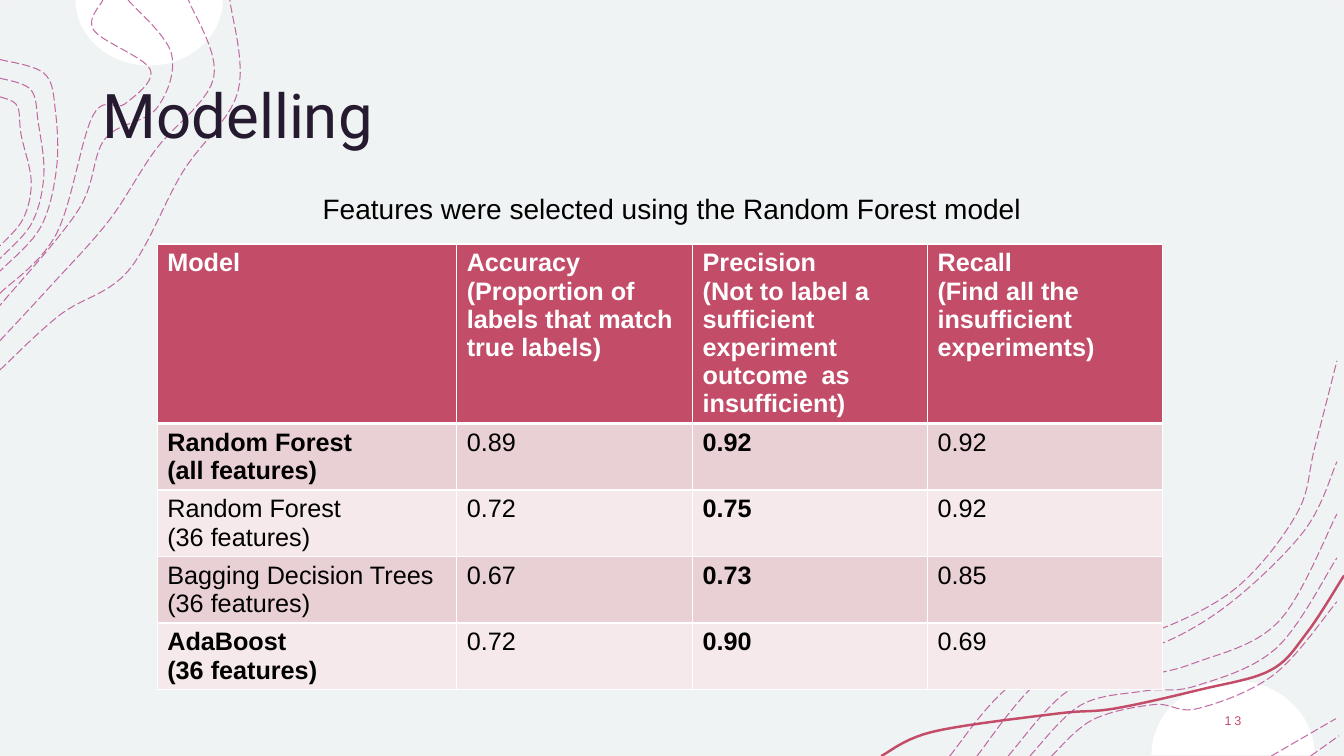
from math import cos, pi, sin

from pptx import Presentation
from pptx.dml.color import RGBColor
from pptx.enum.dml import MSO_LINE as Dash
from pptx.enum.shapes import MSO_SHAPE as Shape
from pptx.enum.text import MSO_ANCHOR as Anchor, MSO_AUTO_SIZE as Fit, PP_ALIGN as Align
from pptx.oxml.ns import qn
from pptx.util import Inches, Pt
from lxml.etree import SubElement

WAVES = [
    [(0, 3.67), (0.6, 3.12), (1.27, 2.69), (1.81, 1.71), (2.36, 0.91), (2.28, 0)],
    [(0, 3.38), (0.5, 2.84), (1.08, 2.19), (1.54, 1.49), (2.12, 0.77), (1.87, 0)],
    [(1.27, 0), (1.7, 0.53), (1.55, 1.08), (1.04, 1.38), (0.78, 2.08), (0, 3.03)],
    [(0, 2.91), (0.56, 2.32), (0.92, 1.15), (1.24, 1.03), (1.49, 0.69), (0.93, 0.3), (1.02, 0)],
    [(9.42, 7.5), (10.02, 6.8), (10.98, 6.25), (11.37, 6.29), (12.24, 5.85), (12.86, 5.1),
     (13.04, 4.44), (13.26, 3.58)],
    [(9.69, 7.5), (10.29, 6.77), (11.03, 6.38), (11.45, 6.41), (12.18, 6), (12.94, 5.26), (13.26, 4.58)],
    [(13, 7.5), (13.28, 7.3)],
    [(12.61, 7.5), (13.25, 7.13)],
]
NESTS = [
    ([(0, 0.59), (0.44, 0.73), (0.55, 1.1), (0.56, 1.68), (0.4, 2.26), (0, 2.69)],
     [(0, 0.96), (0.17, 1.05), (0.21, 1.34), (0.31, 1.8), (0.23, 2.17), (0, 2.44)]),
    ([(10.43, 7.5), (10.84, 7.14), (11.45, 6.99), (11.88, 7.03), (12.64, 6.69), (13.26, 5.97)],
     [(10, 7.5), (10.6, 6.85), (11.25, 6.72), (11.84, 6.58), (12.68, 6.17), (13.26, 5.1)]),
]
RIVER = [(8.74, 7.5), (9.25, 7.26), (10.48, 7.08), (11.05, 7.03), (11.91, 6.84), (12.6, 6.65),
         (12.96, 6.28), (13.33, 5.71)]
ROWS = [
    ["Model", "Accuracy\n(Proportion of labels that match true labels)",
     "Precision\n(Not to label a sufficient experiment outcome  as insufficient)",
     "Recall\n(Find all the insufficient experiments)"],
    ["Random Forest\n(all features)", "0.89", "0.92", "0.92"],
    ["Random Forest\n(36 features)", "0.72", "0.75", "0.92"],
    ["Bagging Decision Trees\n(36 features)", "0.67", "0.73", "0.85"],
    ["AdaBoost\n(36 features)", "0.72", "0.90", "0.69"],
]
BEST = (1, 4)


def color(code):
    return RGBColor.from_string(code)


def middle(left, right):
    return [((a + c) / 2, (b + d) / 2) for (a, b), (c, d) in zip(left, right)]


def smooth(dots, steps=10):
    ends = [dots[0], *dots, dots[-1]]
    curve = [dots[0]]
    for a, b, c, d in zip(ends, ends[1:], ends[2:], ends[3:]):
        for n in range(1, steps + 1):
            t = n / steps
            curve.append(tuple(
                q + t * (r - p) / 2 + t * t * (2 * p - 5 * q + 4 * r - s) / 2
                + t ** 3 * (3 * q - p - 3 * r + s) / 2
                for p, q, r, s in zip(a, b, c, d)))
    return curve


class Deck:
    rose, plum, white, ink = "C34D68", "B13B87", "FFFFFF", "000000"
    bands = ("F5E9EB", "E9D0D4")

    def __init__(self, show):
        self.slide = show.slides.add_slide(show.slide_layouts[5])
        self.shapes = self.slide.shapes

    def ground(self):
        rect = self.shapes.add_shape(Shape.RECTANGLE, 0, 0, Inches(13.33), Inches(7.5))
        rect.shadow.inherit = False
        rect.fill.solid()
        rect.fill.fore_color.rgb = color("F0F3F3")
        rect.line.color.rgb = color("F2F2F2")
        rect.line.width = Pt(1)

    def outline(self, dots, close):
        first, *rest = [(Inches(x), Inches(y)) for x, y in dots]
        pen = self.shapes.build_freeform(*first)
        pen.add_line_segments(rest, close=close)
        form = pen.convert_to_shape()
        form.shadow.inherit = False
        return form

    def dome(self, mid, base, wide, high):
        arc = [(mid + wide * cos(pi * n / 48), base + high * sin(pi * n / 48)) for n in range(49)]
        form = self.outline(arc, True)
        form.fill.solid()
        form.fill.fore_color.rgb = color(self.white)
        form.line.fill.background()

    def wave(self, dots, tint, width, dashed=False):
        form = self.outline(smooth(dots), False)
        form.fill.background()
        form.line.color.rgb = color(tint)
        form.line.width = Pt(width)
        if dashed:
            form.line.dash_style = Dash.LONG_DASH
            hue = form.line._ln.find(".//" + qn("a:srgbClr"))
            SubElement(hue, qn("a:alpha"), val="75000")

    def style(self, para, size, tint, face="Arial", bold=False, align=Align.LEFT):
        para.alignment = align
        font = para.font
        font.name, font.size, font.bold = face, Pt(size), bold
        font.color.rgb = color(tint)

    def title(self, text):
        head = self.shapes.title
        self.shapes._spTree.append(head._element)
        head.left, head.top, head.width, head.height = map(Inches, (0.92, 0.4, 11.5, 1.45))
        frame = head.text_frame
        frame.text = text
        frame.auto_size = Fit.NONE
        frame.vertical_anchor = Anchor.MIDDLE
        self.style(frame.paragraphs[0], 44, "251A2F", "Roboto")

    def text(self, words, box, size, tint, align, anchor=Anchor.TOP, gap=0):
        frame = self.shapes.add_textbox(*map(Inches, box)).text_frame
        frame.word_wrap = True
        frame.vertical_anchor = anchor
        frame.text = words
        para = frame.paragraphs[0]
        self.style(para, size, tint, align=align)
        if gap:
            para.runs[0].font._element.set("spc", str(gap * 100))

    def edges(self, cell, row):
        props = cell._tc.get_or_add_tcPr()
        widths = {"L": 1, "R": 1, "T": 3 if row == 1 else 1, "B": 3 if row == 0 else 1}
        for spot, (side, width) in enumerate(widths.items()):
            edge = SubElement(props, qn("a:ln" + side), w=str(Pt(width)))
            fill = SubElement(edge, qn("a:solidFill"))
            SubElement(fill, qn("a:srgbClr"), val=self.white)
            props.insert(spot, edge)

    def table(self, rows, box, cols, highs):
        grid = self.shapes.add_table(len(rows), len(cols), *map(Inches, box)).table
        for col, width in zip(grid.columns, cols):
            col.width = Inches(width)
        for line, high in zip(grid.rows, highs):
            line.height = Inches(high)
        for r, row in enumerate(rows):
            for c, words in enumerate(row):
                cell = grid.cell(r, c)
                cell.text = words
                cell.fill.solid()
                cell.fill.fore_color.rgb = color(self.bands[r % 2] if r else self.rose)
                bold = r == 0 or c == 2 or (c == 0 and r in BEST)
                for para in cell.text_frame.paragraphs:
                    self.style(para, 18, self.ink if r else self.white, bold=bold)
                self.edges(cell, r)


def main():
    show = Presentation()
    show.slide_width, show.slide_height = Inches(13.33), Inches(7.5)
    deck = Deck(show)
    deck.ground()
    deck.dome(1.48, 0, 0.73, 0.65)
    deck.dome(12.23, 7.49, 0.81, -0.74)
    deck.wave(RIVER, deck.rose, 1.75)
    nested = [dots for far, near in NESTS for dots in (far, middle(far, near), near)]
    for dots in WAVES + nested:
        deck.wave(dots, deck.plum, 0.75, True)
    deck.title("Modelling")
    deck.table(ROWS, (1.56, 2.42, 9.97, 4.41), (2.97, 2.34, 2.33, 2.33), [1.77] + [0.66] * 4)
    deck.text("13", (10.83, 6.95, 1.58, 0.4), 9, deck.rose, Align.RIGHT, Anchor.MIDDLE, 2)
    deck.text("Features were selected using the Random Forest model", (2.84, 1.85, 7.65, 0.44),
              20, deck.ink, Align.CENTER)
    show.save("out.pptx")


if __name__ == "__main__":
    main()
